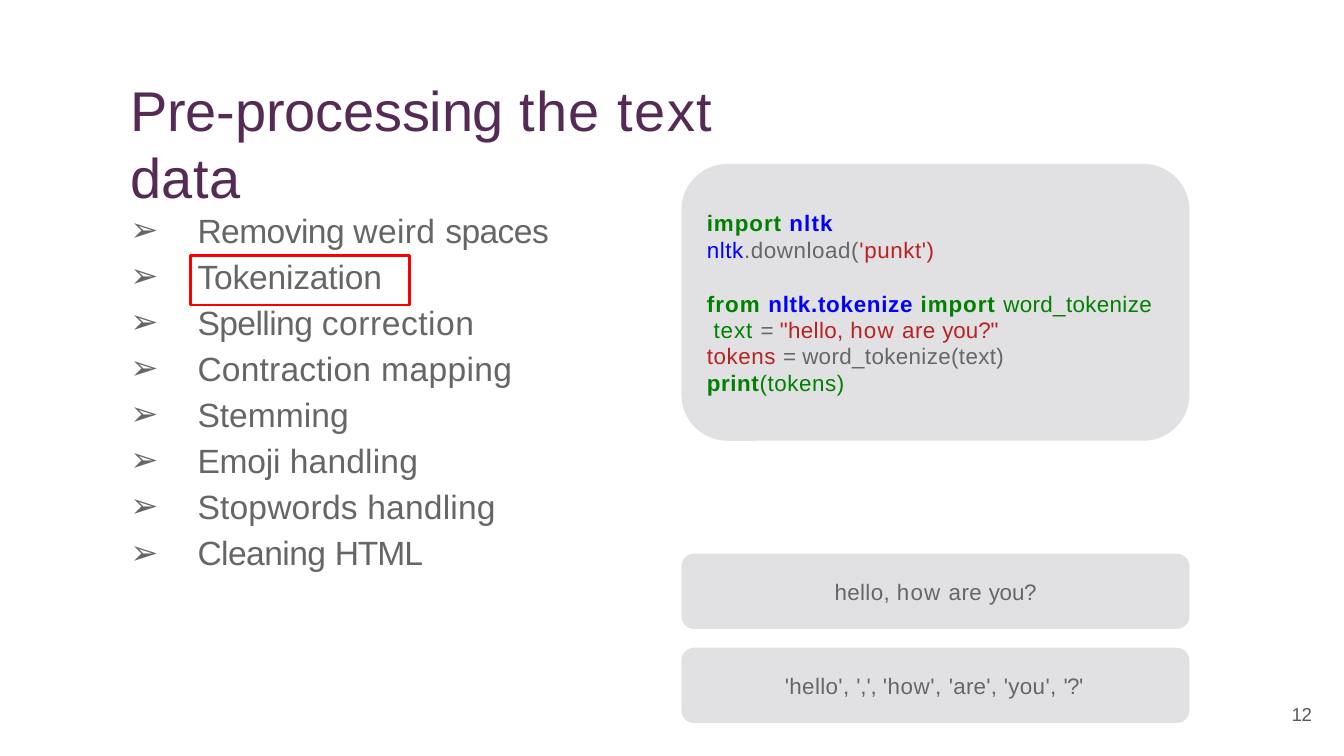
import pptx
import pptx.util
import pptx.dml.color
import pptx.enum.shapes
import lxml.etree

CELL = 0.1  # inches per grid column and row
PURPLE, GREY, DARK, PALE = "552A55", "666666", "595959", "E1E0E3"
GREEN, BLUE, BRICK, RED = "008000", "0000FF", "BA2121", "FF0000"


def colour(value):
    """Turn a hex string into a colour."""
    return pptx.dml.color.RGBColor.from_string(value)


def grid(cells):
    """Turn a count of grid cells into a length."""
    return pptx.util.Inches(cells * CELL)


def assign(target, values):
    """Set every attribute named in a dict."""
    for name, value in values.items():
        setattr(target, name, value)


class Page:
    """Holds the style and the current slide."""

    font = "Arial"
    bullet = "\u27a2"

    def __init__(self, deck):
        """Add a blank slide to the deck."""
        self.slide = deck.slides.add_slide(deck.slide_layouts[6])

    def shape(self, kind, at, fill=None, line=None):
        """Draw a preset shape with an optional fill and outline."""
        shape = self.slide.shapes.add_shape(kind, *map(grid, at))
        shape.shadow.inherit = False
        for part, value in ((shape.fill, fill), (shape.line.fill, line)):
            if value:
                part.solid()
                part.fore_color.rgb = colour(value)
            else:
                part.background()
        return shape

    def card(self, at):
        """Draw a pale rounded panel."""
        self.shape(pptx.enum.shapes.MSO_SHAPE.ROUNDED_RECTANGLE, at, PALE)

    def frame(self, at):
        """Draw a red outline around a list entry."""
        frame = self.shape(pptx.enum.shapes.MSO_SHAPE.RECTANGLE, at, line=RED)
        frame.line.width = pptx.util.Pt(1.5)

    def text(self, at, paragraphs, size, tint, top=0.02, bullets=False, wrap=True):
        """Write paragraphs, each a dict of format values and its spans."""
        frame = self.slide.shapes.add_textbox(*map(grid, at)).text_frame
        assign(frame, {"word_wrap": wrap, "margin_left": 0, "margin_right": 0,
                       "margin_top": pptx.util.Inches(top), "margin_bottom": 0})
        for index, (values, spans) in enumerate(paragraphs):
            para = frame.add_paragraph() if index else frame.paragraphs[0]
            assign(para, {name: pptx.util.Pt(v) for name, v in values.items()})
            if bullets:
                self.mark(para, tint)
            else:
                self.indent(para, 0.01)
            for span in spans:
                self.span(para, size, tint, *span)
        return frame

    def indent(self, para, left, hanging=0):
        """Set the left margin and the hanging indent in inches."""
        props = para._p.get_or_add_pPr()
        props.set("marL", str(pptx.util.Inches(left)))
        props.set("indent", str(-pptx.util.Inches(hanging)))
        return props

    def mark(self, para, tint):
        """Give a paragraph an arrowhead bullet."""
        props = self.indent(para, 0.51, 0.5)
        space = "{http://schemas.openxmlformats.org/drawingml/2006/main}"
        shade = lxml.etree.SubElement(props, space + "buClr")
        lxml.etree.SubElement(shade, space + "srgbClr", val=tint)
        lxml.etree.SubElement(props, space + "buFont", typeface=self.font)
        lxml.etree.SubElement(props, space + "buChar", char=self.bullet)

    def span(self, para, size, tint, words, spacing=0, shade=None, bold=False):
        """Add a run with its letter spacing in points."""
        span = para.add_run()
        span.text = words
        assign(span.font, {"name": self.font, "size": pptx.util.Pt(size), "bold": bold})
        span.font.color.rgb = colour(shade or tint)
        span._r.get_or_add_rPr().set("spc", str(round(spacing * 100)))


def build():
    """Build the deck and save it."""
    deck = pptx.Presentation()
    assign(deck, {"slide_width": grid(100), "slide_height": grid(56.25)})
    page = Page(deck)
    first = {"space_before": 1}

    page.text((9.6, 5.4, 52.9, 9.5), [(first, [
        ("Pre-processing ", -0.1), ("the text ", 0.7), ("data", 0.2)])],
        30, PURPLE, wrap=False)
    page.text((96, 52.1, 1.8, 1.8), [(first, [("12", -0.1)])], 10, DARK)

    steps = [
        [("Removing ", -0.3), ("weird ", 0.2), ("spaces", -0.3)],
        [("Tokenization", -0.1)],
        [("Spelling ", -0.3), ("correction", 0.3)],
        [("Contraction ", 0.1), ("mapping", 0.2)],
        [("Stemming",)],
        [("Emoji ", -0.1), ("handling", 0.1)],
        [("Stopwords handling", 0.1)],
        [("Cleaning ", -0.3), ("HTML", -0.6)],
    ]
    page.text((9.6, 15, 31.5, 27.6),
              [({"space_before": 3.1 if i else 4.1}, step) for i, step in enumerate(steps)],
              18, GREY, top=0.06, bullets=True)
    page.frame((14.15, 19, 16.3, 3.7))

    page.card((50.7, 12.2, 37.8, 20.6))
    line = {"line_spacing": 14.3}
    code = [
        (line | first, [("import ", 0.5, GREEN, True), ("nltk", 0.6, BLUE, True)]),
        (line, [("nltk", 0.3, BLUE), (".download(", 0.3), ("'punkt')", 0.3, BRICK)]),
        (line | {"space_before": 14.5}, [
            ("from ", 0.6, GREEN, True), ("nltk.tokenize ", 0.4, BLUE, True),
            ("import ", 0.5, GREEN, True), ("word_tokenize", 0.2, GREEN)]),
        (line, [("text ", 0.5, GREEN), ("= ", -0.1), ("\"hello, ", 0.2, BRICK),
                ("how ", 0.6, BRICK), ("are ", 0.2, BRICK), ("you?\"", 0, BRICK)]),
        ({"line_spacing": 13.7}, [
            ("tokens ", 0.3, BRICK), ("= ", -0.1), ("word_tokenize(text)", 0.2)]),
        (line, [("print", 0.3, GREEN, True), ("(tokens)", 0.3, GREEN)]),
    ]
    listing = page.text((52.5, 15.4, 33.7, 14.1), code, 12, GREY)
    page.indent(listing.paragraphs[3], 0.06)

    samples = [
        (62, 15.2, [("hello, ", 0.2), ("how ", 0.6), ("are ", 0.2), ("you?", -0.1)]),
        (58.3, 22.6, [("'hello', ", 0.2), ("',', ", -0.1), ("'how', ", 0.3),
                      ("'are', ", 0.1), ("'you', ", 0.2), ("'?'", -0.3)]),
    ]
    for index, (left, width, spans) in enumerate(samples):
        top = 41.2 + 7 * index
        page.card((50.7, top, 37.8, 5.6))
        page.text((left, top + 1.6, width, 2.1), [(first, spans)], 12, GREY)

    deck.save("out.pptx")


build()
